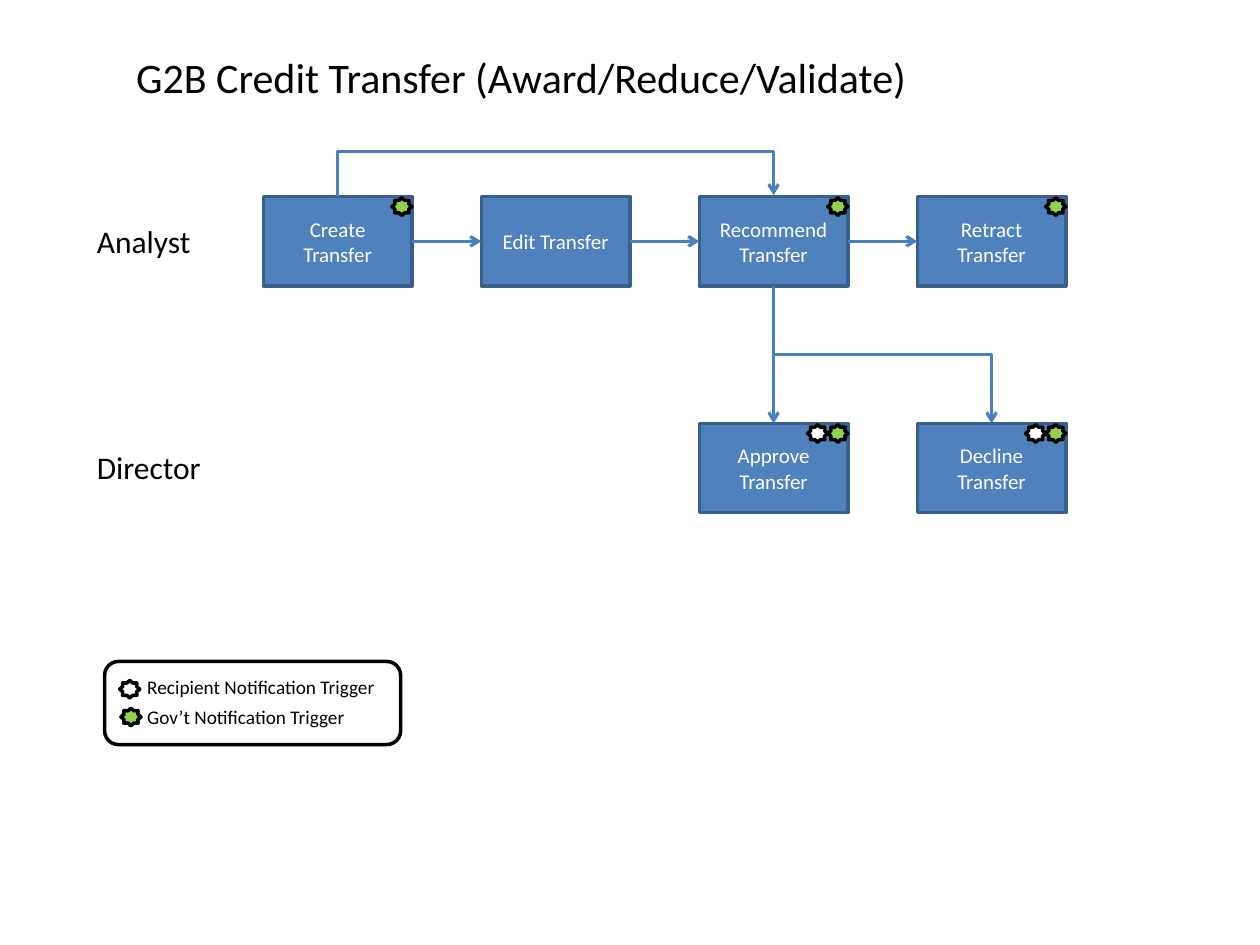
from dataclasses import dataclass

from lxml import etree
from pptx import Presentation
from pptx.dml.color import RGBColor
from pptx.enum.shapes import MSO_CONNECTOR, MSO_SHAPE
from pptx.enum.text import MSO_ANCHOR, MSO_AUTO_SIZE, PP_ALIGN
from pptx.oxml.ns import qn
from pptx.util import Inches, Pt

RECT, ROUND, STAR = MSO_SHAPE.RECTANGLE, MSO_SHAPE.ROUNDED_RECTANGLE, MSO_SHAPE.STAR_8_POINT
STRAIGHT, ELBOW = MSO_CONNECTOR.STRAIGHT, MSO_CONNECTOR.ELBOW
LEFT, CENTER = PP_ALIGN.LEFT, PP_ALIGN.CENTER
TOP, MIDDLE = MSO_ANCHOR.TOP, MSO_ANCHOR.MIDDLE
NO_FIT, GROW = MSO_AUTO_SIZE.NONE, MSO_AUTO_SIZE.SHAPE_TO_FIT_TEXT
SIDE_TOP, SIDE_LEFT, SIDE_BOTTOM, SIDE_RIGHT = range(4)


@dataclass(frozen=True)
class Theme:
    font: str = "Calibri"
    box: str = "4F81BD"
    box_line: str = "3A5F8C"
    arrow: str = "4B7EBC"
    ink: str = "000000"
    white: str = "FFFFFF"
    govt: str = "92D050"
    title_pt: int = 24
    lane_pt: int = 18
    box_pt: int = 12
    legend_pt: int = 11
    outline_pt: float = 2
    arrow_pt: float = 1.75


T = Theme()

# Grid of steps, in inches
X0, Y0 = 2.09, 1.56
COL_STEP, ROW_STEP = 1.73, 1.8
BOX_W, BOX_H = 1.18, 0.71
STAR_W, STAR_H = 0.16, 0.14

STEPS = {  # text: (column, row, colours of its triggers from the right)
    "Create Transfer": (0, 0, [T.govt]),
    "Edit Transfer": (1, 0, []),
    "Recommend Transfer": (2, 0, [T.govt]),
    "Retract Transfer": (3, 0, [T.govt]),
    "Approve Transfer": (2, 1, [T.govt, T.white]),
    "Decline Transfer": (3, 1, [T.govt, T.white]),
}
LANES = [("Analyst", 0.95), ("Director", 1.04)]
LEGEND = [
    ("Recipient Notification Trigger", 2.11, T.white),
    ("Gov’t Notification Trigger", 1.78, T.govt),
]


def rgb(color):
    return RGBColor.from_string(color)


def write(tf, text, size, color, align=LEFT):
    tf.text = text
    p = tf.paragraphs[0]
    p.alignment = align
    font = p.runs[0].font
    font.name, font.size = T.font, Pt(size)
    font.color.rgb = rgb(color)


def add_outlined(slide, kind, x, y, w, h, line, fill=None):
    s = slide.shapes.add_shape(kind, Inches(x), Inches(y), Inches(w), Inches(h))
    s.shadow.inherit = False
    if fill:
        s.fill.solid()
        s.fill.fore_color.rgb = rgb(fill)
    else:
        s.fill.background()
    s.line.color.rgb = rgb(line)
    s.line.width = Pt(T.outline_pt)
    return s


def add_star(slide, x, y, fill):
    add_outlined(slide, STAR, x, y, STAR_W, STAR_H, T.ink, fill)


def add_label(slide, text, x, y, w, h, size):
    tf = slide.shapes.add_textbox(Inches(x), Inches(y), Inches(w), Inches(h)).text_frame
    tf.word_wrap = False
    tf.auto_size = GROW
    write(tf, text, size, T.ink)


def add_title(slide, text):
    s = slide.shapes.title
    s.left, s.top, s.width, s.height = map(Inches, (0.98, 0.36, 6.38, 0.5))
    tf = s.text_frame
    write(tf, text, T.title_pt, T.ink)
    tf.word_wrap = False
    tf.auto_size = NO_FIT
    tf.vertical_anchor = TOP


def add_step(slide, text, col, row, triggers):
    x, y = X0 + col * COL_STEP, Y0 + row * ROW_STEP
    s = add_outlined(slide, RECT, x, y, BOX_W, BOX_H, T.box_line, T.box)
    s.text_frame.word_wrap = True
    s.text_frame.vertical_anchor = MIDDLE
    write(s.text_frame, text, T.box_pt, T.white, CENTER)
    for i, fill in enumerate(triggers, 1):
        add_star(slide, x + BOX_W - i * STAR_W, y + 0.01, fill)
    return s


def add_arrow(slide, kind, start, start_side, end, end_side):
    c = slide.shapes.add_connector(kind, 0, 0, 0, 0)
    c.begin_connect(start, start_side)
    c.end_connect(end, end_side)
    c.line.color.rgb = rgb(T.arrow)
    c.line.width = Pt(T.arrow_pt)
    etree.SubElement(c.line._get_or_add_ln(), qn("a:tailEnd"), type="arrow")
    etree.SubElement(c._element.spPr, qn("a:effectLst"))
    return c


def add_elbow(slide, start, start_side, end, rise=0):
    """Leave vertically and enter the top of end; rise is the height of a loop above."""
    c = add_arrow(slide, ELBOW, start, start_side, end, SIDE_TOP)
    across = end.left - start.left
    start_y = start.top + (start.height if start_side == SIDE_BOTTOM else 0)
    # A loop needs a small length, as its bend is a multiple of that length
    along = Inches(0.01) if rise else end.top - start_y
    mid_x = start.left + start.width // 2 + across // 2
    mid_y = start_y + (-along if rise else along) // 2
    c.left, c.top = mid_x - along // 2, mid_y - across // 2
    c.width, c.height = along, across
    xfrm = c._element.spPr.find(qn("a:xfrm"))
    xfrm.set("rot", str(90 * 60000))
    xfrm.set("flipH", "1" if rise else "0")
    xfrm.set("flipV", "1")
    bend = round(Inches(rise) / along * 100000) if rise else 50000
    guides = c._element.spPr.find(qn("a:prstGeom")).get_or_add_avLst()
    etree.SubElement(guides, qn("a:gd"), name="adj1", fmla=f"val {bend}")


def add_legend(slide):
    s = add_outlined(slide, ROUND, 0.83, 5.25, 2.35, 0.66, T.ink)
    for i, (text, w, fill) in enumerate(LEGEND):
        add_star(slide, 0.95 + i * 0.01, s.top.inches + 0.15 + i * 0.22, fill)
        add_label(slide, text, 1.07, s.top.inches + 0.06 + i * 0.24, w, 0.29, T.legend_pt)


def main():
    prs = Presentation()
    prs.slide_width, prs.slide_height = Inches(10), Inches(7.5)
    slide = prs.slides.add_slide(prs.slide_layouts[5])
    add_title(slide, "G2B Credit Transfer (Award/Reduce/Validate)")

    for row, (text, w) in enumerate(LANES):
        add_label(slide, text, 0.67, 1.71 + row * ROW_STEP, w, 0.4, T.lane_pt)

    boxes = [add_step(slide, text, *place) for text, place in STEPS.items()]
    create, edit, recommend, retract, approve, decline = boxes
    for start, end in [(create, edit), (edit, recommend), (recommend, retract)]:
        add_arrow(slide, STRAIGHT, start, SIDE_RIGHT, end, SIDE_LEFT)
    add_arrow(slide, STRAIGHT, recommend, SIDE_BOTTOM, approve, SIDE_TOP)
    add_elbow(slide, recommend, SIDE_BOTTOM, decline)
    add_elbow(slide, create, SIDE_TOP, recommend, rise=0.36)

    add_legend(slide)
    prs.save("out.pptx")


if __name__ == "__main__":
    main()
